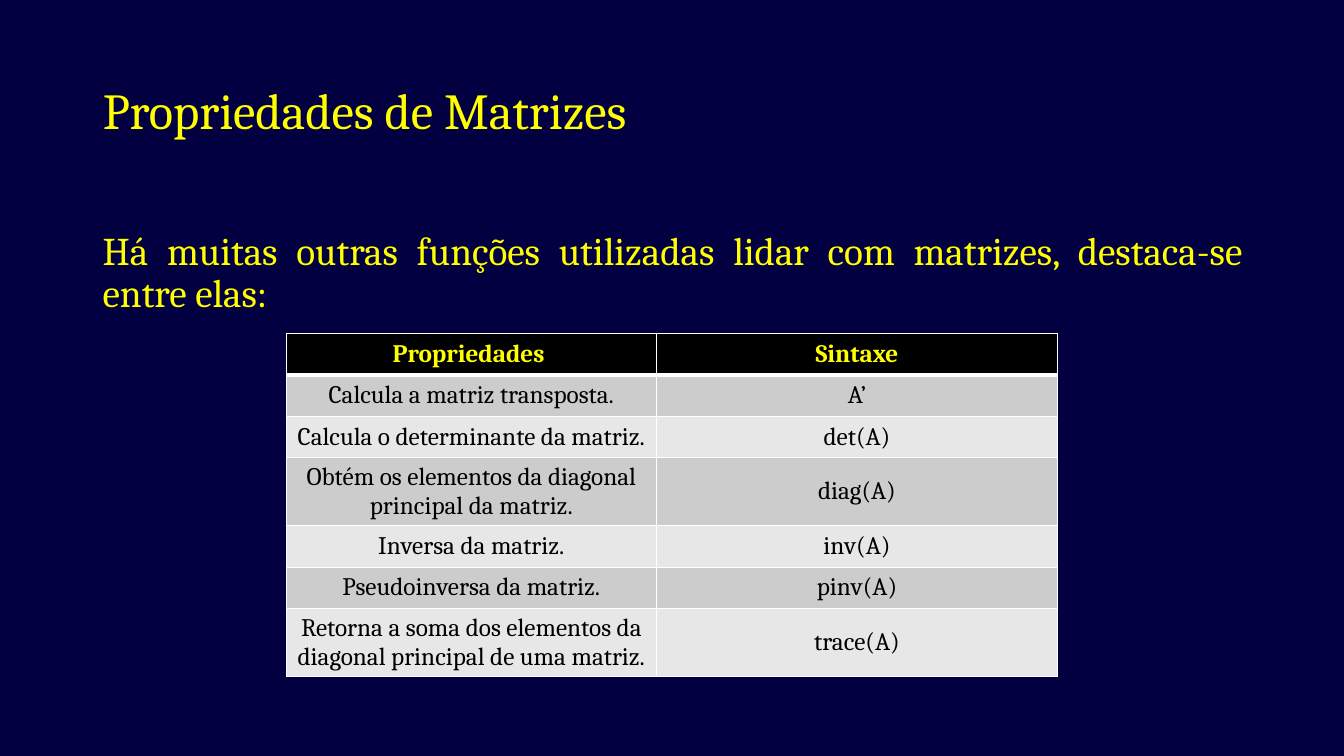
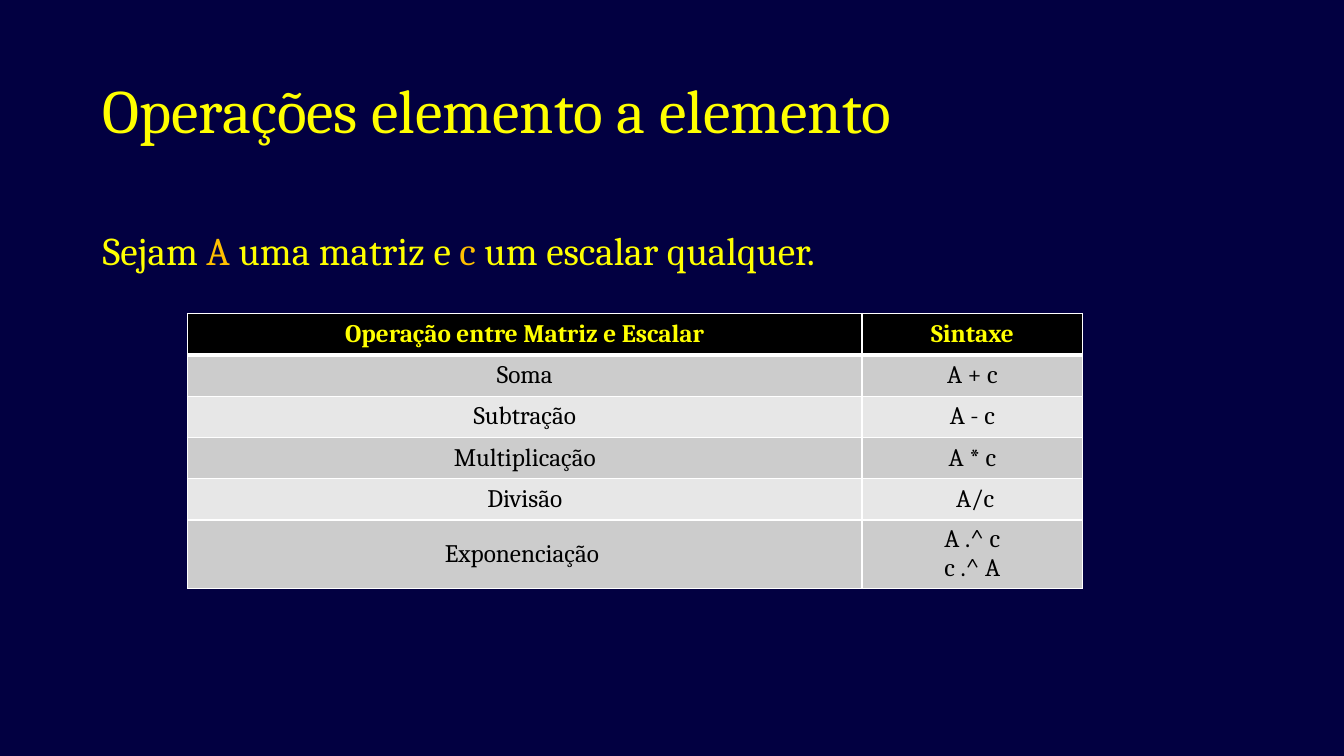
from lxml import etree
from pptx import Presentation
from pptx.dml.color import RGBColor
from pptx.enum.text import MSO_ANCHOR, MSO_AUTO_SIZE, PP_ALIGN
from pptx.oxml.ns import qn
from pptx.util import Inches, Pt

LEFT, CENTER, JUSTIFY = PP_ALIGN.LEFT, PP_ALIGN.CENTER, PP_ALIGN.JUSTIFY
TOP, MIDDLE = MSO_ANCHOR.TOP, MSO_ANCHOR.MIDDLE
NO_AUTOFIT = MSO_AUTO_SIZE.NONE
TITLE_ONLY = 5

FONT = "Cambria"
NAVY, YELLOW, AMBER = "020041", "FFFF00", "FFC000"
BLACK, WHITE = "000000", "FFFFFF"
BANDS = ("CCCCCC", "E7E7E7")

TITLE_BOX = (0.92, 0.4, 11.5, 1.45)
BODY_BOX = (0.92, 2.25, 11.5, 4.5)
ROW_HEIGHT = 0.41
THIN, THICK = 1, 3

MATRIX_FUNCTIONS = [
    ("Propriedades ", "Sintaxe"),
    ("Calcula a matriz transposta.", "A’"),
    ("Calcula o determinante da matriz.", "det(A)"),
    ("Obtém os elementos da diagonal principal da matriz.", "diag(A)"),
    ("Inversa da matriz.", "inv(A)"),
    ("Pseudoinversa da matriz.", "pinv(A)"),
    ("Retorna a soma dos elementos da diagonal principal de uma matriz.", "trace(A)"),
]
SCALAR_OPERATIONS = [
    ("Operação entre Matriz e Escalar", "Sintaxe"),
    ("Soma", "A + c"),
    ("Subtração", "A - c"),
    ("Multiplicação", "A * c"),
    ("Divisão", " A/c"),
    ("Exponenciação ", "A .^ c\nc .^ A"),
]


def rgb(code):
    """Turn a hex string into a colour."""
    return RGBColor.from_string(code)


def add_run(paragraph, text, size, color, bold=False):
    """Append one formatted run to a paragraph."""
    run = paragraph.add_run()
    run.text = text
    run.font.name = FONT
    run.font.size = Pt(size)
    run.font.bold = bold
    run.font.color.rgb = rgb(color)


def format_frame(frame, anchor, alignment):
    """Prepare a wrapped text frame and return its first paragraph."""
    frame.word_wrap = True
    frame.auto_size = NO_AUTOFIT
    frame.vertical_anchor = anchor
    paragraph = frame.paragraphs[0]
    paragraph.alignment = alignment
    paragraph.line_spacing = 0.9
    return paragraph


def add_titled_slide(prs, title, size):
    """Add a slide with its title placed and formatted."""
    slide = prs.slides.add_slide(prs.slide_layouts[TITLE_ONLY])
    heading = slide.shapes.title
    heading.left, heading.top, heading.width, heading.height = map(Inches, TITLE_BOX)
    add_run(format_frame(heading.text_frame, MIDDLE, LEFT), title, size, YELLOW)
    return slide


def add_intro(slide, runs):
    """Add the justified sentence above the table from text and colour pairs."""
    intro = slide.shapes.add_textbox(*map(Inches, BODY_BOX))
    paragraph = format_frame(intro.text_frame, TOP, JUSTIFY)
    paragraph.space_before = Pt(10)
    for text, color in runs:
        add_run(paragraph, text, 28, color)


def set_borders(cell, top, bottom):
    """Draw white cell borders with the given top and bottom widths."""
    properties = cell._tc.get_or_add_tcPr()
    widths = {"a:lnL": THIN, "a:lnR": THIN, "a:lnT": top, "a:lnB": bottom}
    for side, width in widths.items():
        line = etree.SubElement(properties, qn(side), w=str(Pt(width)))
        fill = etree.SubElement(line, qn("a:solidFill"))
        etree.SubElement(fill, qn("a:srgbClr"), val=WHITE)


def fill_cell(cell, text, row_index):
    """Write and format one cell as header or banded row."""
    is_header = row_index == 0
    set_borders(cell, THICK if row_index == 1 else THIN, THICK if is_header else THIN)
    cell.fill.solid()
    cell.fill.fore_color.rgb = rgb(BLACK if is_header else BANDS[(row_index - 1) % 2])
    cell.vertical_anchor = MIDDLE
    frame = cell.text_frame
    for index, line in enumerate(text.split("\n")):
        paragraph = frame.add_paragraph() if index else frame.paragraphs[0]
        paragraph.alignment = CENTER
        add_run(paragraph, line, 18, YELLOW if is_header else BLACK, is_header)


def add_syntax_table(slide, left, top, column_widths, rows):
    """Add a table with a black header and grey bands."""
    table = slide.shapes.add_table(
        len(rows), len(column_widths), Inches(left), Inches(top),
        Inches(sum(column_widths)), Inches(ROW_HEIGHT * len(rows)),
    ).table
    for column, width in zip(table.columns, column_widths):
        column.width = Inches(width)
    for row_index, texts in enumerate(rows):
        table.rows[row_index].height = Inches(ROW_HEIGHT)
        for column_index, text in enumerate(texts):
            fill_cell(table.cell(row_index, column_index), text, row_index)


def main():
    """Build and save the two slides."""
    prs = Presentation()
    prs.slide_width, prs.slide_height = Inches(13.33), Inches(7.5)
    background = prs.slide_master.background.fill
    background.solid()
    background.fore_color.rgb = rgb(NAVY)

    properties = add_titled_slide(prs, "Propriedades de Matrizes", 36)
    add_intro(properties, [
        ("Há muitas outras funções utilizadas lidar com matrizes, "
         "destaca-se entre elas:", YELLOW),
    ])
    add_syntax_table(properties, 2.84, 3.31, (3.67, 3.98), MATRIX_FUNCTIONS)

    operations = add_titled_slide(prs, "Operações elemento a elemento", 44)
    add_intro(operations, [
        ("Sejam ", YELLOW), ("A", AMBER), (" uma matriz e ", YELLOW),
        ("c ", AMBER), ("um escalar qualquer.", YELLOW),
    ])
    add_syntax_table(operations, 1.86, 3.11, (6.69, 2.19), SCALAR_OPERATIONS)

    prs.save("out.pptx")


if __name__ == "__main__":
    main()
